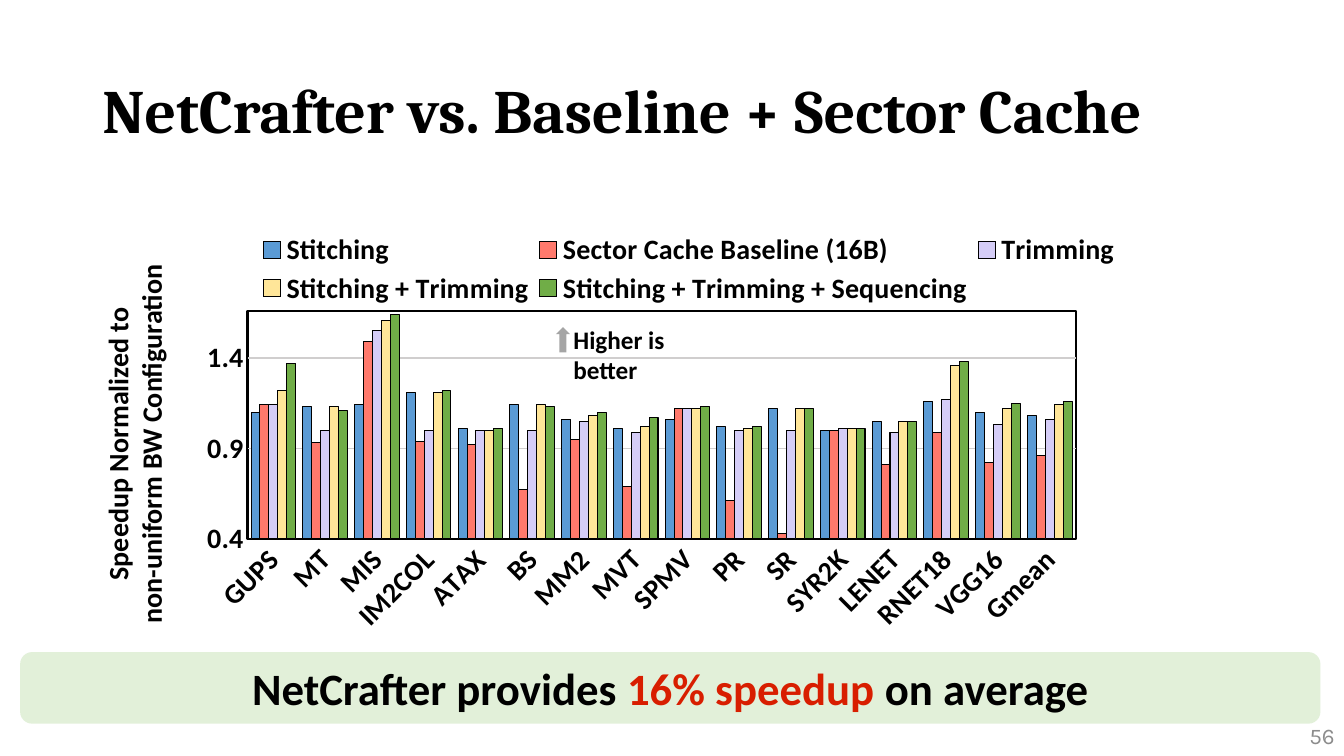
from dataclasses import dataclass
from typing import NamedTuple

from pptx import Presentation
from pptx import util as u
from pptx.chart.chart import Chart
from pptx.chart.data import CategoryChartData
from pptx.dml.color import RGBColor
from pptx.enum import chart as charts
from pptx.enum import shapes, text
from pptx.oxml import parse_xml
from pptx.oxml.ns import nsdecls, qn


@dataclass(frozen=True)
class Theme:
    black: str = "000000"
    accent: str = "D81E00"
    muted: str = "8C8C8C"
    arrow: str = "A5A5A5"
    banner: str = "E2F0D9"
    grid: str = "D0CECE"
    heading_font: str = "Cambria"
    body_font: str = "Calibri"
    number_font: str = "Karla"
    title_size: int = 44
    banner_size: int = 32
    chart_size: int = 20
    hint_size: int = 18
    number_size: int = 16


class Frame(NamedTuple):
    left: float
    top: float
    width: float
    height: float


class Series(NamedTuple):
    name: str
    color: str
    values: tuple[float, ...]


class Label(NamedTuple):
    lines: tuple[str, ...]
    frame: Frame
    size: int
    font: str
    color: str
    bold: bool
    align: text.PP_ALIGN
    anchor: text.MSO_ANCHOR = text.MSO_ANCHOR.TOP
    rotation: float = 0
    right_inset: float = 7.2


THEME = Theme()

BENCHMARKS = ("GUPS", "MT", "MIS", "IM2COL", "ATAX", "BS", "MM2", "MVT",
              "SPMV", "PR", "SR", "SYR2K", "LENET", "RNET18", "VGG16", "Gmean")

SPEEDUPS = (
    Series("Stitching", "5B9BD5",
           (1.1, 1.13, 1.14, 1.21, 1.01, 1.14, 1.06, 1.01,
            1.06, 1.02, 1.12, 1, 1.05, 1.16, 1.1, 1.08)),
    Series("Sector Cache Baseline (16B)", "FF796C",
           (1.14, 0.93, 1.49, 0.94, 0.92, 0.67, 0.95, 0.69,
            1.12, 0.61, 0.43, 1, 0.81, 0.99, 0.82, 0.86)),
    Series("Trimming", "D5CDF7",
           (1.14, 1, 1.55, 1, 1, 1, 1.05, 0.99,
            1.12, 1, 1, 1.01, 0.99, 1.17, 1.03, 1.06)),
    Series("Stitching + Trimming", "FFE699",
           (1.22, 1.13, 1.61, 1.21, 1, 1.14, 1.08, 1.02,
            1.12, 1.01, 1.12, 1.01, 1.05, 1.36, 1.12, 1.14)),
    Series("Stitching + Trimming + Sequencing", "70AD47",
           (1.37, 1.11, 1.64, 1.22, 1.01, 1.13, 1.1, 1.07,
            1.13, 1.02, 1.12, 1.01, 1.05, 1.38, 1.15, 1.16)),
)

LABELS = (
    Label(("56",), Frame(744.5, 511.2, 216, 28.8), THEME.number_size,
          THEME.number_font, THEME.muted, False, text.PP_ALIGN.RIGHT,
          text.MSO_ANCHOR.MIDDLE),
    Label(("Higher is better",), Frame(402.5, 228.2, 128.9, 28.8),
          THEME.hint_size, THEME.body_font, THEME.black, True,
          text.PP_ALIGN.LEFT, right_inset=24),
    Label(("Speedup Normalized to", "non-uniform BW Configuration"),
          Frame(-33.1, 277.2, 282.2, 79.9), THEME.chart_size,
          THEME.body_font, THEME.black, True, text.PP_ALIGN.CENTER,
          rotation=270),
)


def points(frame: Frame) -> tuple[u.Length, ...]:
    return tuple(u.Pt(length) for length in frame)


def style_font(font, name: str, size: float, color: str, bold: bool = True) -> None:
    font.name, font.size, font.bold = name, u.Pt(size), bold
    font.color.rgb = RGBColor.from_string(color)


def style_line(line, color: str, width: float = 0.75) -> None:
    line.color.rgb = RGBColor.from_string(color)
    line.width = u.Pt(width)


def add_title(page, wording: str) -> None:
    title = page.shapes.title
    title.left, title.top, title.width, title.height = points(Frame(66, 28.8, 828, 104.4))
    title.text_frame.text = wording
    title.text_frame.vertical_anchor = text.MSO_ANCHOR.MIDDLE
    para = title.text_frame.paragraphs[0]
    para.alignment, para.line_spacing = text.PP_ALIGN.LEFT, 0.9
    style_font(para.runs[0].font, THEME.heading_font, THEME.title_size, THEME.black)


def add_label(page, label: Label) -> None:
    box = page.shapes.add_textbox(*points(label.frame))
    box.rotation = label.rotation
    frame = box.text_frame
    frame.word_wrap, frame.vertical_anchor = True, label.anchor
    frame.margin_right = u.Pt(label.right_inset)
    frame.text = "\n".join(label.lines)
    for para in frame.paragraphs:
        para.alignment = label.align
        style_font(para.runs[0].font, label.font, label.size, label.color, label.bold)


def add_block(page, kind: shapes.MSO_SHAPE, frame: Frame, color: str, rotation: float = 0):
    block = page.shapes.add_shape(kind, *points(frame))
    block.shadow.inherit = False
    block.rotation = rotation
    block.fill.solid()
    block.fill.fore_color.rgb = RGBColor.from_string(color)
    block.line.fill.background()
    return block


def add_banner(page) -> None:
    banner = add_block(page, shapes.MSO_SHAPE.ROUNDED_RECTANGLE,
                       Frame(14.4, 465.8, 928.8, 51.1), THEME.banner)
    banner.text_frame.vertical_anchor = text.MSO_ANCHOR.MIDDLE
    para = banner.text_frame.paragraphs[0]
    para.alignment = text.PP_ALIGN.CENTER
    for wording, color in (("NetCrafter provides ", THEME.black),
                           ("16% speedup ", THEME.accent),
                           ("on average", THEME.black)):
        span = para.add_run()
        span.text = wording
        style_font(span.font, THEME.body_font, THEME.banner_size, color)


def layout_xml(left: float, top: float, width: float, height: float, inner: bool):
    target = '<c:layoutTarget val="inner"/>' if inner else ""
    return parse_xml(
        f'<c:layout {nsdecls("c")}><c:manualLayout>{target}'
        '<c:xMode val="edge"/><c:yMode val="edge"/>'
        f'<c:x val="{left}"/><c:y val="{top}"/><c:w val="{width}"/><c:h val="{height}"/>'
        '</c:manualLayout></c:layout>')


def arrange_chart(chart: Chart) -> None:
    root = chart._chartSpace
    area, legend = root.find(".//" + qn("c:plotArea")), root.find(".//" + qn("c:legend"))
    for part in (area, legend):
        for layout in part.findall(qn("c:layout")):
            part.remove(layout)
    area.insert(0, layout_xml(0.085, 0.153, 0.835, 0.369, True))
    legend.find(qn("c:legendPos")).addnext(layout_xml(0.09, 0.02, 0.88, 0.13, False))
    area.append(parse_xml(
        f'<c:spPr {nsdecls("c", "a")}><a:noFill/><a:ln w="{u.Pt(1.5)}"><a:solidFill>'
        f'<a:srgbClr val="{THEME.black}"/></a:solidFill></a:ln></c:spPr>'))
    area.find(qn("c:catAx")).find(".//" + qn("a:bodyPr")).set("rot", "-2700000")


def add_speedup_chart(page) -> None:
    data = CategoryChartData(number_format="0.00")
    data.categories = BENCHMARKS
    for series in SPEEDUPS:
        data.add_series(series.name, series.values)
    chart = page.shapes.add_chart(charts.XL_CHART_TYPE.COLUMN_CLUSTERED,
                                  *points(Frame(116.6, 154.8, 708.5, 440.6)), data).chart
    chart.has_title = False
    style_font(chart.font, THEME.body_font, THEME.chart_size, THEME.black)
    chart.has_legend = True
    chart.legend.position = charts.XL_LEGEND_POSITION.TOP
    chart.legend.include_in_layout = False
    style_font(chart.legend.font, THEME.body_font, THEME.chart_size, THEME.black)
    plot = chart.plots[0]
    plot.gap_width, plot.overlap, plot.vary_by_categories = 80, 0, False
    for bars, series in zip(plot.series, SPEEDUPS):
        bars.format.fill.solid()
        bars.format.fill.fore_color.rgb = RGBColor.from_string(series.color)
        style_line(bars.format.line, THEME.black)
    for axis in (chart.category_axis, chart.value_axis):
        axis.major_tick_mark = axis.minor_tick_mark = charts.XL_TICK_MARK.NONE
        style_font(axis.tick_labels.font, THEME.body_font, THEME.chart_size, THEME.black)
        style_line(axis.format.line, THEME.black)
    scale = chart.value_axis
    scale.minimum_scale, scale.maximum_scale, scale.major_unit = 0.4, 1.66, 0.5
    scale.tick_labels.number_format = "0.0"
    scale.tick_labels.number_format_is_linked = False
    style_line(scale.major_gridlines.format.line, THEME.grid)
    arrange_chart(chart)


def main() -> None:
    deck = Presentation()
    deck.slide_width, deck.slide_height = u.Pt(960), u.Pt(540)
    page = deck.slides.add_slide(deck.slide_layouts[5])
    add_title(page, "NetCrafter vs. Baseline + Sector Cache")
    add_speedup_chart(page)
    for label in LABELS:
        add_label(page, label)
    add_block(page, shapes.MSO_SHAPE.RIGHT_ARROW, Frame(393.1, 237.6, 18, 10.1),
              THEME.arrow, 270)
    add_banner(page)
    deck.save("out.pptx")


if __name__ == "__main__":
    main()
